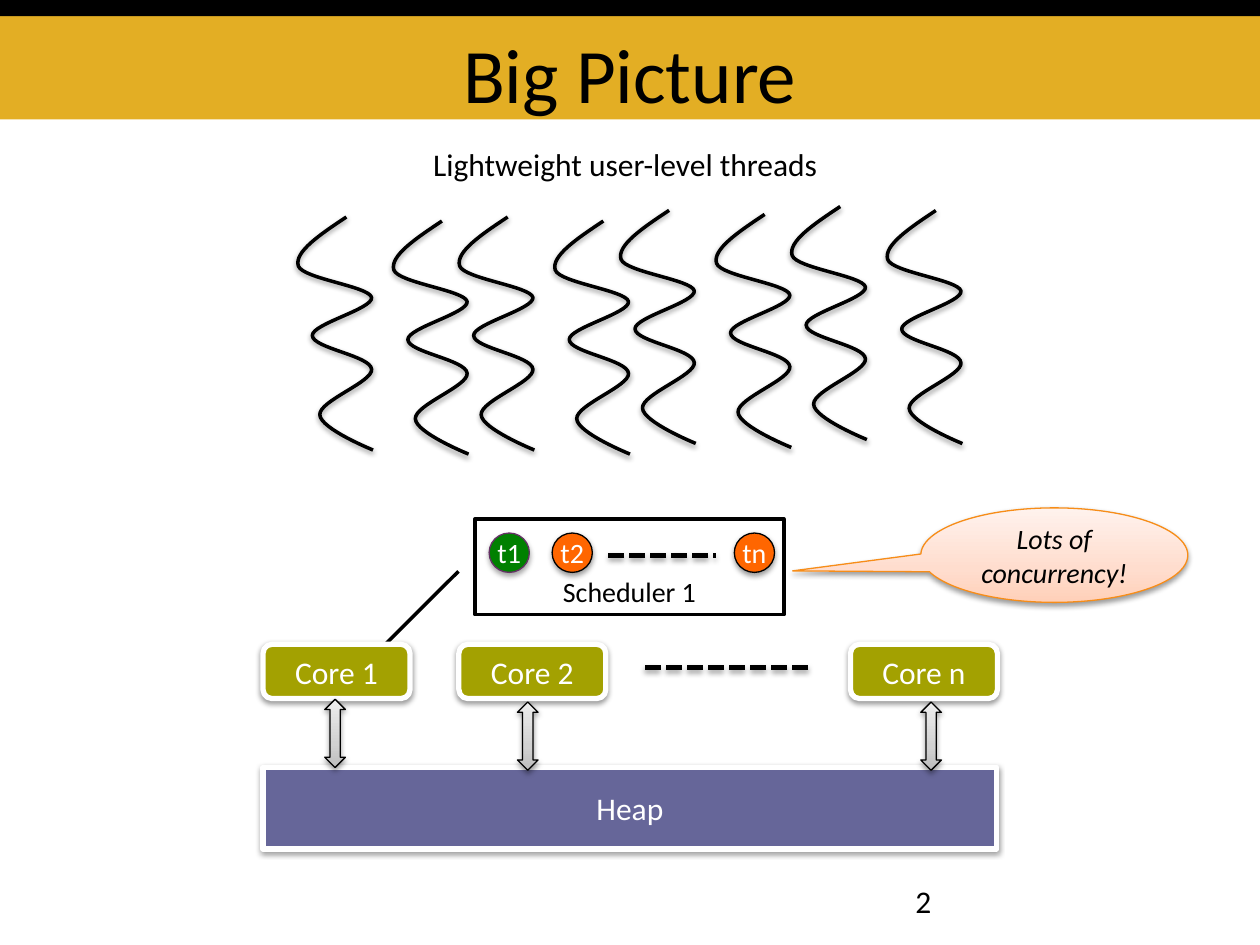
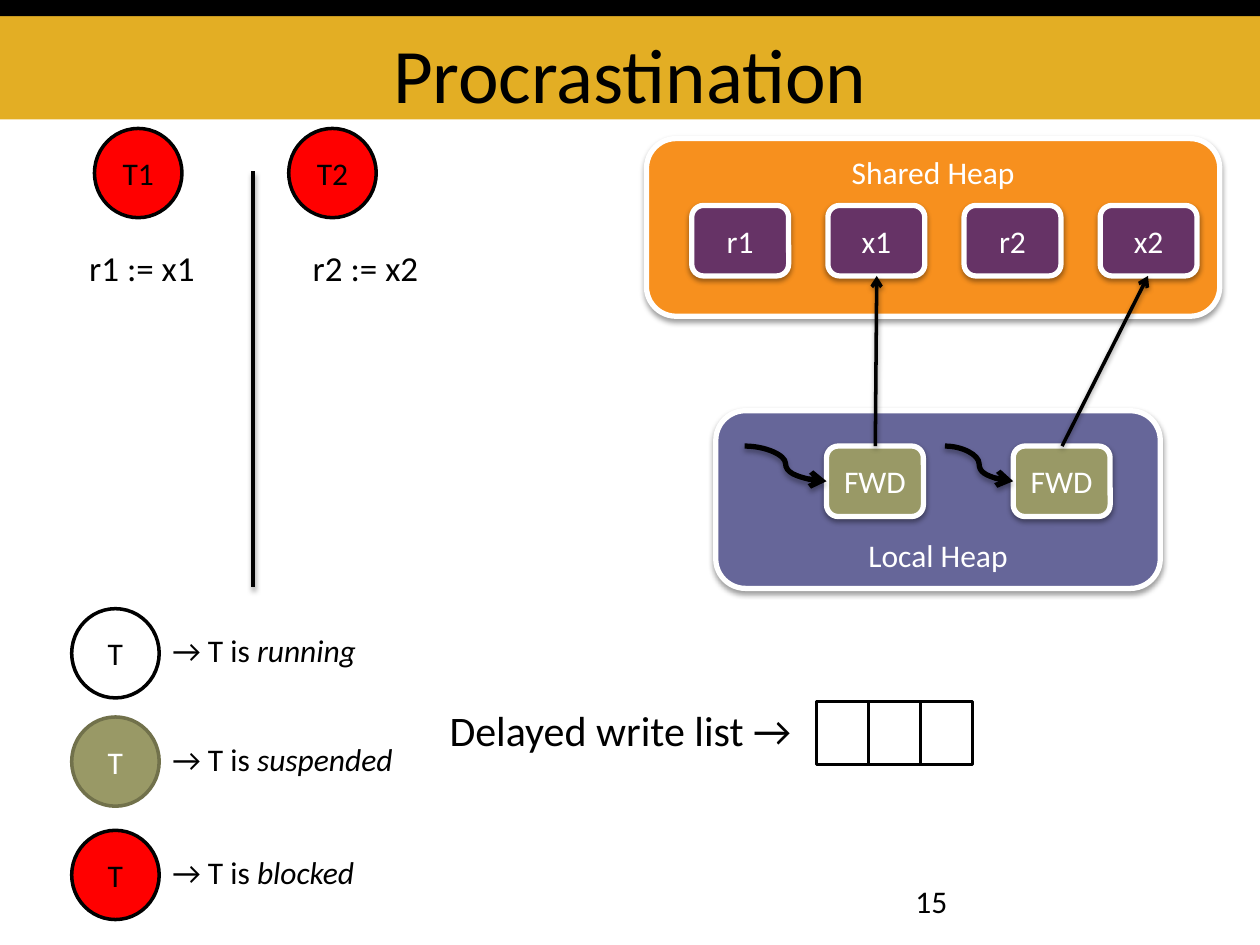
from copy import deepcopy
from dataclasses import dataclass

from lxml import etree
from pptx import Presentation
from pptx import util as u
from pptx.dml import color
from pptx.enum import dml, shapes, text
from pptx.oxml import ns

KIND = shapes.MSO_SHAPE
LINK = shapes.MSO_CONNECTOR
ANCHOR = text.MSO_ANCHOR
ALIGN = text.PP_ALIGN


@dataclass(frozen=True)
class Theme:
    font: str = "Calibri"
    title: int = 44
    list_label: int = 24
    code: int = 20
    body: int = 18
    small: int = 16
    black: str = "000000"
    white: str = "FFFFFF"
    gold: str = "E3AE24"
    olive: str = "A3A101"
    slate: str = "666699"
    purple: str = "663366"
    orange: str = "F7901E"
    khaki: str = "999966"
    khaki_edge: str = "71714B"
    red: str = "FF0000"
    green: str = "008000"
    green_edge: str = "653165"
    thread_orange: str = "FF6600"
    callout_edge: str = "F78D18"
    peach: tuple = ((0, "FFD0B9"), (0.35, "FFDDCE"), (1, "FFF2ED"))
    grey: tuple = ((0, "BDBDBD"), (0.35, "D1D1D1"), (1, "EEEEEE"))


T = Theme()
SOFT = (38, 3.1, 1.6)    # opacity in percent, blur, distance
STRONG = (35, 3.1, 1.8)
CARD = dict(edge=T.white, edge_width=3, shadow=SOFT)

# One thread: a start, then (control, control, end) for each bend.
THREAD_START = (28, 0)
THREAD_BENDS = [
    ((13, 10), (-2, 20), (0.5, 28)),
    ((3, 35.3), (41, 39.6), (42.4, 46)),
    ((43.2, 52.6), (8.5, 61), (8.5, 67.7)),
    ((8.5, 75), (41.8, 79.2), (42.4, 87)),
    ((43.2, 94.3), (12.4, 105), (12.8, 113)),
    ((13, 121), (43.2, 133.2), (43.2, 133.2)),
]


def rgb(value):
    return color.RGBColor.from_string(value)


def points(*values):
    return [u.Pt(value) for value in values]


def sub(parent, tag, **attributes):
    """Append a drawing element such as a:effectLst."""
    return etree.SubElement(parent, ns.qn(tag), {k: str(v) for k, v in attributes.items()})


def set_shadow(item, shadow=None):
    """Replace the theme shadow by the given one, or by none."""
    effects = item._element.spPr.get_or_add_effectLst()
    if shadow:
        opacity, blur, distance = shadow
        outer = sub(effects, "a:outerShdw", blurRad=u.Pt(blur), dist=u.Pt(distance),
                    dir=5400000, rotWithShape=0)
        sub(sub(outer, "a:srgbClr", val=T.black), "a:alpha", val=opacity * 1000)


def set_gradient(shape, stops):
    """Fill from bottom to top with three stops."""
    shape.fill.gradient()
    shape.fill.gradient_angle = 90
    first = shape._element.spPr.find(".//" + ns.qn("a:gs"))
    first.addnext(deepcopy(first))
    for stop, (position, value) in zip(shape.fill.gradient_stops, stops):
        stop.position = position
        stop.color.rgb = rgb(value)


def write(frame, words, *, size=T.body, ink=T.black, align=ALIGN.LEFT, anchor=ANCHOR.TOP,
          italic=False, italic_tail="", inset=(7.2, 3.6, 7.2, 3.6), wrap=True):
    frame.word_wrap = wrap
    frame.vertical_anchor = anchor
    frame.margin_left, frame.margin_top, frame.margin_right, frame.margin_bottom = points(*inset)
    para = frame.paragraphs[0]
    para.alignment = align
    for part, slanted in ((words, italic), (italic_tail, True)):
        if part:
            span = para.add_run()
            span.text = part
            span.font.name = T.font
            span.font.size = u.Pt(size)
            span.font.color.rgb = rgb(ink)
            span.font.italic = slanted


def add_text(page, box, words, **style):
    write(page.shapes.add_textbox(*points(*box)).text_frame, words, **style)


def add_block(page, kind, box, words="", *, fill, edge=None, edge_width=2, shadow=None,
              adjust=(), anchor=ANCHOR.MIDDLE, **style):
    """Preset shape with centred text; fill is a colour or gradient stops."""
    shape = page.shapes.add_shape(kind, *points(*box))
    for index, value in enumerate(adjust):
        shape.adjustments[index] = value
    if isinstance(fill, str):
        shape.fill.solid()
        shape.fill.fore_color.rgb = rgb(fill)
    else:
        set_gradient(shape, fill)
    if edge:
        shape.line.color.rgb = rgb(edge)
        shape.line.width = u.Pt(edge_width)
    else:
        shape.line.fill.background()
    set_shadow(shape, shadow)
    if words:
        write(shape.text_frame, words, align=ALIGN.CENTER, anchor=anchor, **style)


def add_line(page, start, end, *, kind=LINK.STRAIGHT, width=2, dashed=False, arrow=False,
             shadow=SOFT):
    line = page.shapes.add_connector(kind, *points(*start, *end))
    line.line.color.rgb = rgb(T.black)
    line.line.width = u.Pt(width)
    if dashed:
        line.line.dash_style = dml.MSO_LINE.SQUARE_DOT
    if arrow:
        sub(line.line._get_or_add_ln(), "a:tailEnd", type="arrow")
    set_shadow(line, shadow)


def add_thread(page, left, top):
    """Wavy line: a freeform through the bends, with its segments made cubic."""
    anchors = [THREAD_START] + [bend[-1] for bend in THREAD_BENDS]
    x_min = min(x for x, _ in anchors)
    builder = page.shapes.build_freeform(*points(left + THREAD_START[0], top), scale=1.0)
    builder.add_line_segments([points(left + x, top + y) for x, y in anchors[1:]], close=False)
    wave = builder.convert_to_shape()
    segments = list(wave._element.iter(ns.qn("a:lnTo")))
    for segment, bend in zip(segments, THREAD_BENDS):
        curve = etree.Element(ns.qn("a:cubicBezTo"))
        for x, y in bend:
            sub(curve, "a:pt", x=u.Pt(x - x_min), y=u.Pt(y))
        segment.getparent().replace(segment, curve)
    wave.fill.background()
    wave.line.color.rgb = rgb(T.black)
    wave.line.width = u.Pt(2)
    set_shadow(wave, SOFT)


def add_page(deck, title, number):
    page = deck.slides.add_slide(deck.slide_layouts[6])
    add_block(page, KIND.RECTANGLE, (0, 9.2, 720, 59), fill=T.gold)
    add_block(page, KIND.RECTANGLE, (0, 0, 720, 9.2), fill=T.black)
    add_text(page, (36, 9.2, 648, 59), title, size=T.title, align=ALIGN.CENTER,
             anchor=ANCHOR.BOTTOM, inset=(7.2, 3.6, 7.2, 0))
    add_text(page, (516, 500.4, 168, 28.8), number)
    return page


def add_scheduler(page):
    add_block(page, KIND.LINE_CALLOUT_1, (271.5, 296.6, 176.4, 54.7), "Scheduler 1",
              fill=T.white, edge=T.black, adjust=(0.547, -0.054, 1.353, -0.305),
              size=T.small, anchor=ANCHOR.BOTTOM)
    for left, name, fill, edge, shadow in (
            (279.5, "t1", T.green, T.green_edge, STRONG),
            (315.5, "t2", T.thread_orange, T.black, SOFT),
            (419.6, "tn", T.thread_orange, T.black, SOFT)):
        add_block(page, KIND.OVAL, (left, 304.6, 23, 22.5), name, fill=fill, edge=edge,
                  edge_width=0.75, shadow=shadow, size=T.small, ink=T.white, inset=(0,) * 4)
    add_line(page, (347.6, 317.3), (409, 317.3), width=3, dashed=True, shadow=STRONG)
    add_block(page, KIND.OVAL_CALLOUT, (526.2, 290.2, 152.6, 54), "Lots of concurrency!",
              fill=T.peach, edge=T.callout_edge, edge_width=0.75, shadow=SOFT,
              adjust=(-0.98, 0.167), size=T.small, italic=True, inset=(0,) * 4)


def add_cores_and_heap(page):
    for left, name in ((150.3, "Core 1"), (262.2, "Core 2"), (486, "Core n")):
        add_block(page, KIND.ROUNDED_RECTANGLE, (left, 368.2, 84, 31), name,
                  fill=T.olive, ink=T.white, anchor=ANCHOR.TOP, **CARD)
    add_line(page, (368.6, 381.6), (463.7, 381.6), width=3, dashed=True, shadow=STRONG)
    add_block(page, KIND.RECTANGLE, (150.3, 438.4, 419.3, 46.8), "Heap",
              fill=T.slate, ink=T.white, **CARD)
    for left, top in ((185.6, 399.6), (295.7, 401.2), (526.2, 401.2)):
        add_block(page, KIND.UP_DOWN_ARROW, (left, top, 11.8, 39), fill=T.grey,
                  edge=T.black, edge_width=0.75, shadow=SOFT)


def build_big_picture(deck):
    page = add_page(deck, "Big Picture", "2")
    for left, top in ((170, 124), (262.2, 124), (354.4, 120.2), (452.2, 118)):
        add_thread(page, left, top)
        add_thread(page, left + 54.6, top + 2.3)
    add_text(page, (240.5, 79.2, 237.6, 28.8), "Lightweight user-level threads", wrap=False)
    add_scheduler(page)
    add_cores_and_heap(page)


def add_state(page, left, top, name, fill=T.red, edge=T.black, ink=T.black):
    """Circle that shows the state of a thread."""
    add_block(page, KIND.OVAL, (left, top, 50, 51), name, fill=fill, edge=edge, ink=ink)


def add_cell(page, left, top, name, fill):
    """Named heap object."""
    add_block(page, KIND.ROUNDED_RECTANGLE, (left, top, 55.4, 40.3), name,
              fill=fill, ink=T.white, **CARD)


def add_heaps(page):
    add_block(page, KIND.ROUNDED_RECTANGLE, (369.4, 79.2, 327.6, 101.5), "Shared Heap",
              fill=T.orange, ink=T.white, anchor=ANCHOR.TOP, **CARD)
    add_block(page, KIND.ROUNDED_RECTANGLE, (409, 234.7, 254, 101.5), "Local Heap",
              fill=T.slate, ink=T.white, anchor=ANCHOR.BOTTOM, **CARD)
    for index, name in enumerate(("r1", "x1", "r2", "x2")):
        add_cell(page, 395.3 + 77.8 * index, 117.4, name, T.purple)
    for left, tail, target in ((472.3, 425.5, 501), (579, 540, 656)):
        add_cell(page, left, 254.9, "FWD", T.khaki)
        add_line(page, (tail, 254.9), (left, 275), kind=LINK.CURVE, width=3, arrow=True,
                 shadow=STRONG)
        add_line(page, (left + 27.9, 254.9), (target, 157.7), arrow=True)


def build_procrastination(deck):
    page = add_page(deck, "Procrastination", "15")
    add_heaps(page)
    add_line(page, (144.7, 98), (144.7, 335.5))
    add_state(page, 54, 73.4, "T1")
    add_state(page, 165, 73.4, "T2")
    add_text(page, (43.9, 137.5, 100.8, 31.7), "r1 := x1", size=T.code)
    add_text(page, (144.7, 137.5, 123, 31.7), "r2 := x2", size=T.code,
             inset=(34, 3.6, 7.2, 3.6))
    for top, state, look in (
            (347.8, "running", dict(fill=T.white)),
            (409.7, "suspended", dict(fill=T.khaki, edge=T.khaki_edge, ink=T.white)),
            (474.5, "blocked", {})):
        add_state(page, 41, top, "T", **look)
        add_text(page, (91.4, top + 9.4, 164, 28.8), "→ T is ", italic_tail=state)
    add_text(page, (249.8, 398.9, 214.6, 36), "Delayed write list →", size=T.list_label,
             wrap=False)
    for slot in range(3):
        add_block(page, KIND.RECTANGLE, (466.6 + 29.7 * slot, 401, 29.7, 36),
                  fill=T.white, edge=T.black)


def main():
    deck = Presentation()
    deck.slide_width, deck.slide_height = points(720, 540)
    build_big_picture(deck)
    build_procrastination(deck)
    deck.save("out.pptx")


if __name__ == "__main__":
    main()
